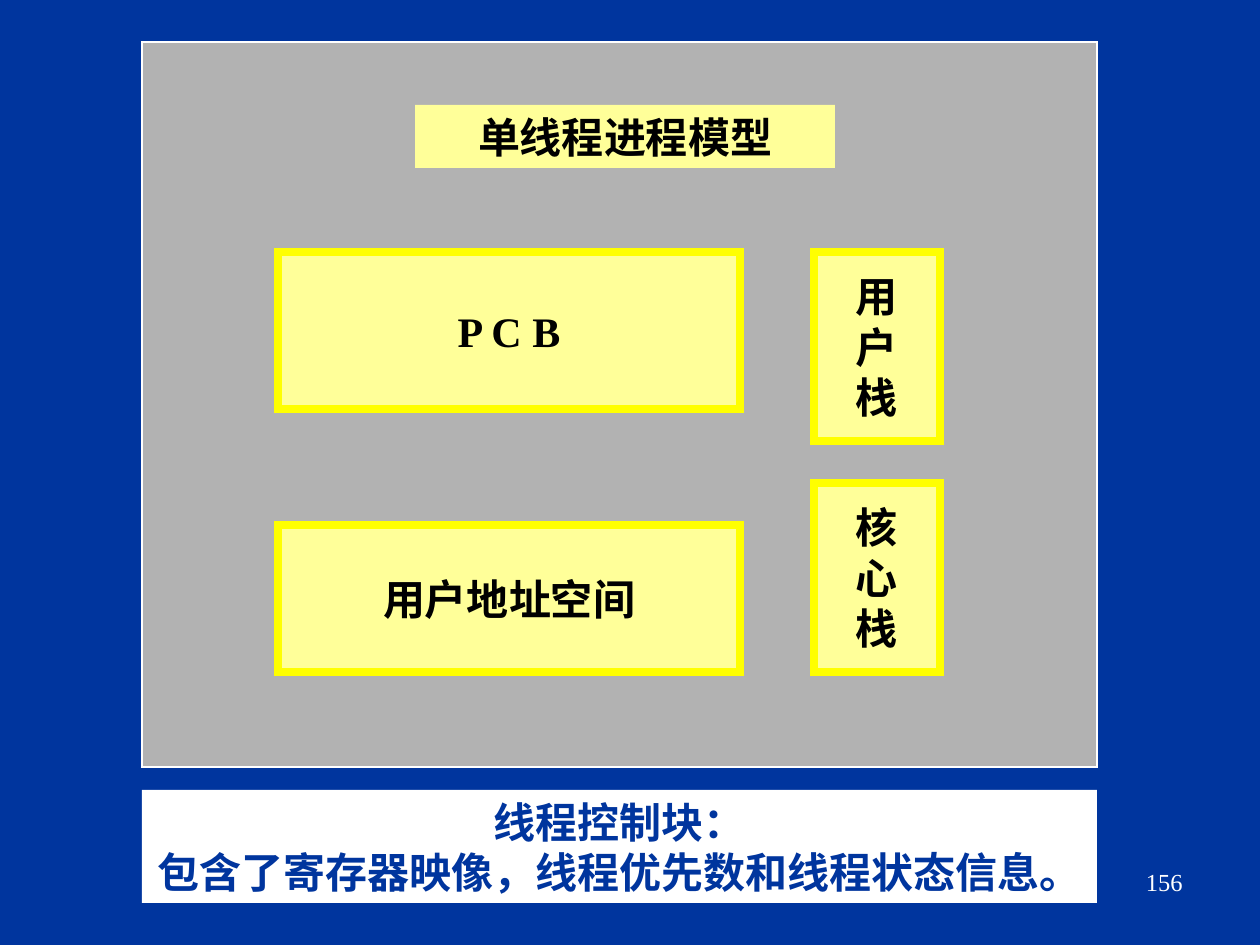
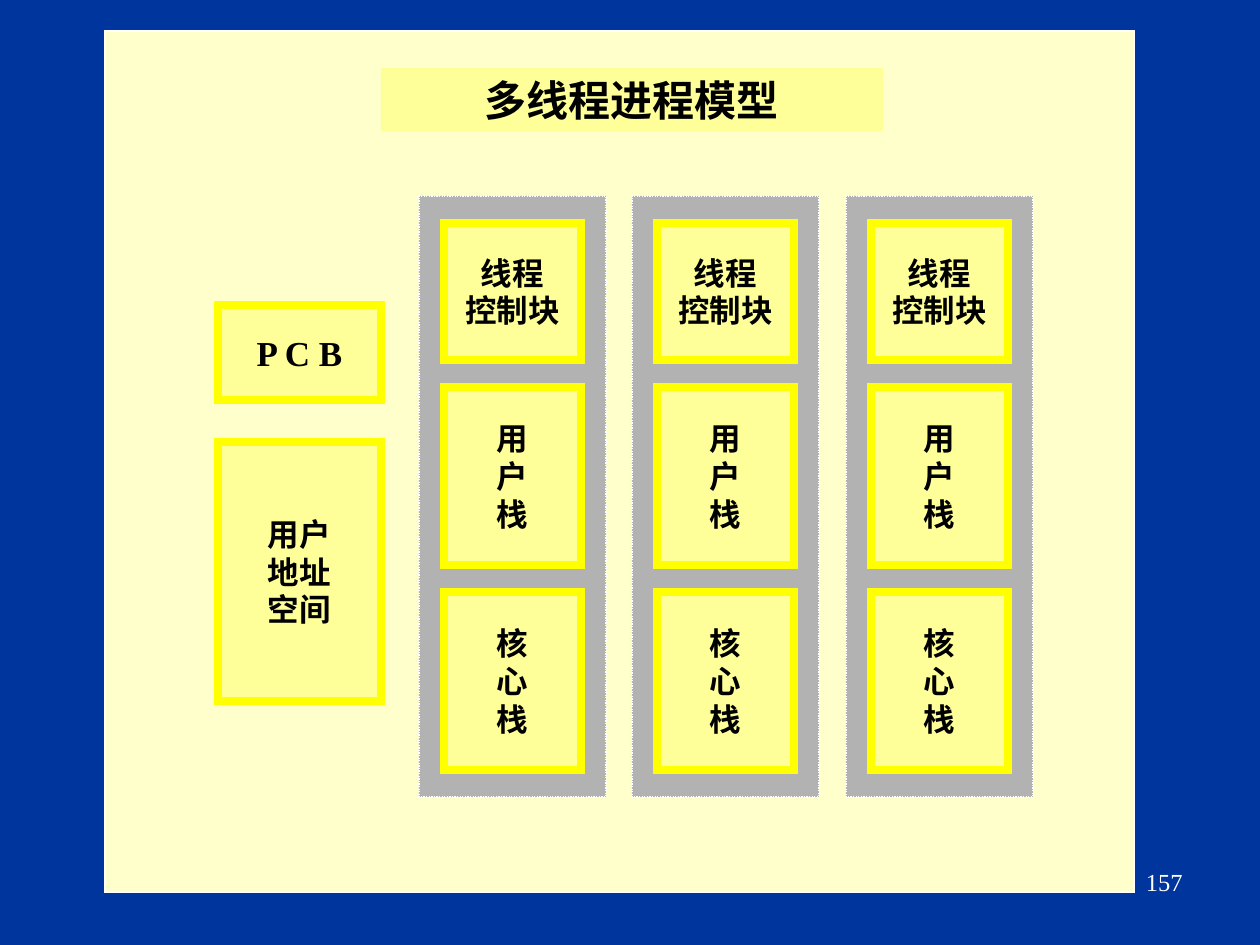
from lxml import etree
from pptx import Presentation
from pptx.dml.color import RGBColor
from pptx.enum.dml import MSO_LINE
from pptx.enum.shapes import MSO_SHAPE
from pptx.enum.text import MSO_ANCHOR, PP_ALIGN
from pptx.oxml.ns import qn
from pptx.util import Pt

RECTANGLE = MSO_SHAPE.RECTANGLE
DOTTED = MSO_LINE.ROUND_DOT
TOP, MIDDLE = MSO_ANCHOR.TOP, MSO_ANCHOR.MIDDLE
CENTER, RIGHT = PP_ALIGN.CENTER, PP_ALIGN.RIGHT

EMU_PER_INCH = 914400
PX_PER_INCH = 126
PAGE_SIZE = (1260, 945)
FONT = "Times New Roman"
COLORS = {
    "blue": "00359E", "gray": "B2B2B2", "cream": "FFFFCC", "pale": "FFFF99",
    "yellow": "FFFF00", "white": "FFFFFF", "black": "000000",
}

USER_STACK = ["用", "户", "栈"]
KERNEL_STACK = ["核", "心", "栈"]

SINGLE = {
    "number": "156",
    "frame": ((142, 42, 955, 725), "gray"),
    "title": ("单线程进程模型", (415, 105, 420, 63)),
    "blocks": [
        (["P C B"], 24, (278, 252, 462, 157)),
        (USER_STACK, 24, (814, 252, 126, 189)),
        (["用户地址空间"], 24, (278, 525, 462, 147)),
        (KERNEL_STACK, 24, (814, 483, 126, 189)),
    ],
}
NOTE = (["线程控制块：", "包含了寄存器映像，线程优先数和线程状态信息。"],
        (142, 790, 955, 113))

MULTI = {
    "number": "157",
    "frame": ((105, 31, 1029, 861), "cream"),
    "title": ("多线程进程模型", (381, 68, 502, 63)),
    "blocks": [
        (["P C B"], 20, (218, 305, 163, 95)),
        (["用户", "地址", "空间"], 18, (218, 442, 163, 259)),
    ],
}
THREAD_COUNT = 3
THREAD_COLUMN = (419, 196, 187, 601)
LAST_COLUMN_OFFSET = 427
THREAD_PARTS = [(["线程", "控制块"], 137), (USER_STACK, 178), (KERNEL_STACK, 178)]
PART_INSET_X, PART_INSET_Y, PART_GAP = 25, 27, 27
NUMBER_AREA = (933, 861, 262, 63)


def emu(*lengths):
    return [round(px * EMU_PER_INCH / PX_PER_INCH) for px in lengths]


def rgb(name):
    return RGBColor.from_string(COLORS[name])


def write(box, lines, size, color="black", bold=True, align=CENTER, anchor=TOP, wrap=True):
    frame = box.text_frame
    frame.word_wrap = wrap
    frame.vertical_anchor = anchor
    for index, line in enumerate(lines):
        para = frame.paragraphs[0] if index == 0 else frame.add_paragraph()
        para.alignment = align
        span = para.add_run()
        span.text = line
        span.font.color.rgb = rgb(color)
        for name, value in {"name": FONT, "size": Pt(size), "bold": bold}.items():
            setattr(span.font, name, value)


def add_box(page, area, fill, line=None, width=0.75, dash=None):
    box = page.shapes.add_shape(RECTANGLE, *emu(*area))
    box.shadow.inherit = False
    box.fill.solid()
    box.fill.fore_color.rgb = rgb(fill)
    if line is None:
        box.line.fill.background()
        return box
    box.line.color.rgb = rgb(line)
    box.line.width = Pt(width)
    if dash is not None:
        box.line.dash_style = dash
    outline = box.element.spPr.find(qn("a:ln"))
    etree.SubElement(outline, qn("a:miter"), lim="800000")
    return box


def add_block(page, lines, size, area):
    box = add_box(page, area, "pale", "yellow", 4.5)
    write(box, lines, size, anchor=MIDDLE, wrap=False)


def add_model_page(deck, model):
    page = deck.slides.add_slide(deck.slide_layouts[6])
    page.background.fill.solid()
    page.background.fill.fore_color.rgb = rgb("blue")
    area, fill = model["frame"]
    add_box(page, area, fill, "white")
    title, area = model["title"]
    write(add_box(page, area, "pale"), [title], 24)
    for block in model["blocks"]:
        add_block(page, *block)
    number = page.shapes.add_textbox(*emu(*NUMBER_AREA))
    write(number, [model["number"]], 14, "white", bold=False, align=RIGHT)
    return page


def add_threads(page):
    first_left, top, width, height = THREAD_COLUMN
    for index in range(THREAD_COUNT):
        left = first_left + LAST_COLUMN_OFFSET * index // (THREAD_COUNT - 1)
        add_box(page, (left, top, width, height), "gray", "white", dash=DOTTED)
        part_top = top + PART_INSET_Y
        for lines, part_height in THREAD_PARTS:
            area = (left + PART_INSET_X, part_top, width - 2 * PART_INSET_X, part_height)
            add_block(page, lines, 18, area)
            part_top += part_height + PART_GAP


def main():
    deck = Presentation()
    deck.slide_width, deck.slide_height = emu(*PAGE_SIZE)
    single_page = add_model_page(deck, SINGLE)
    lines, area = NOTE
    write(add_box(single_page, area, "white"), lines, 24, "blue")
    add_threads(add_model_page(deck, MULTI))
    deck.save("out.pptx")


if __name__ == "__main__":
    main()
